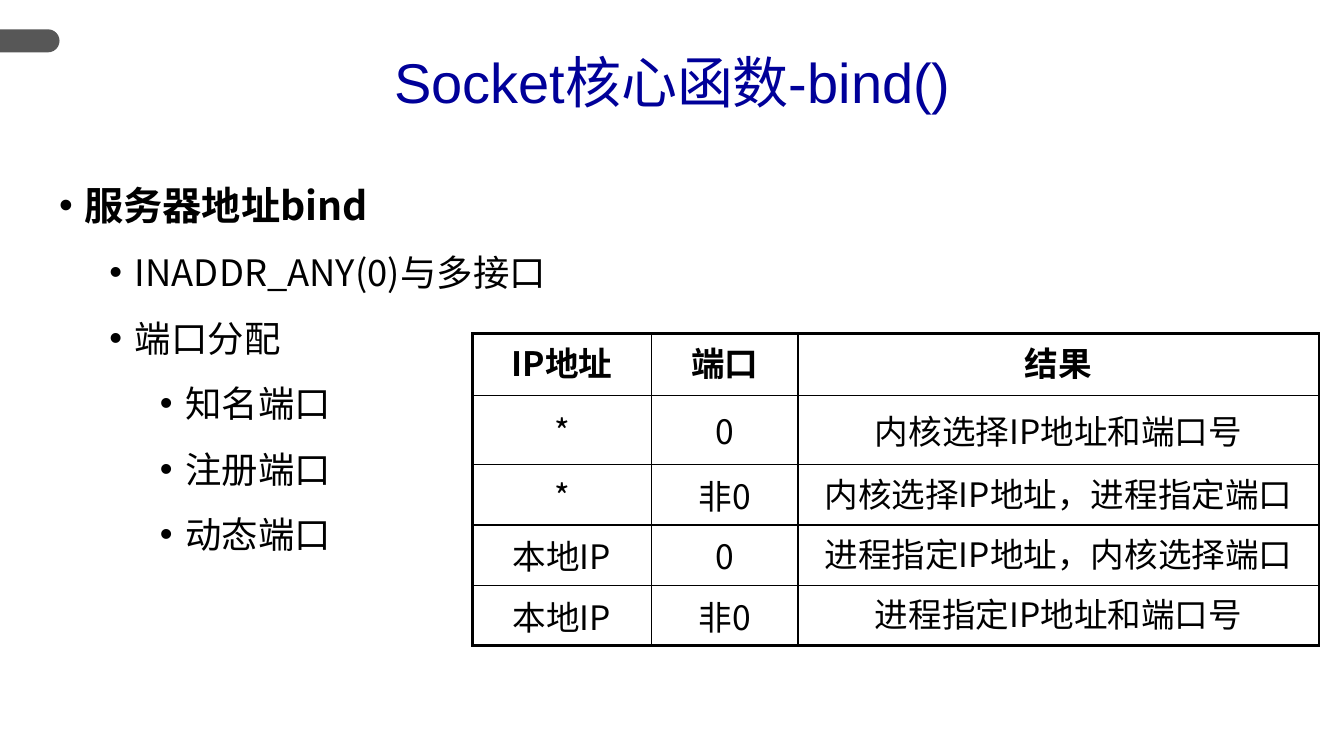
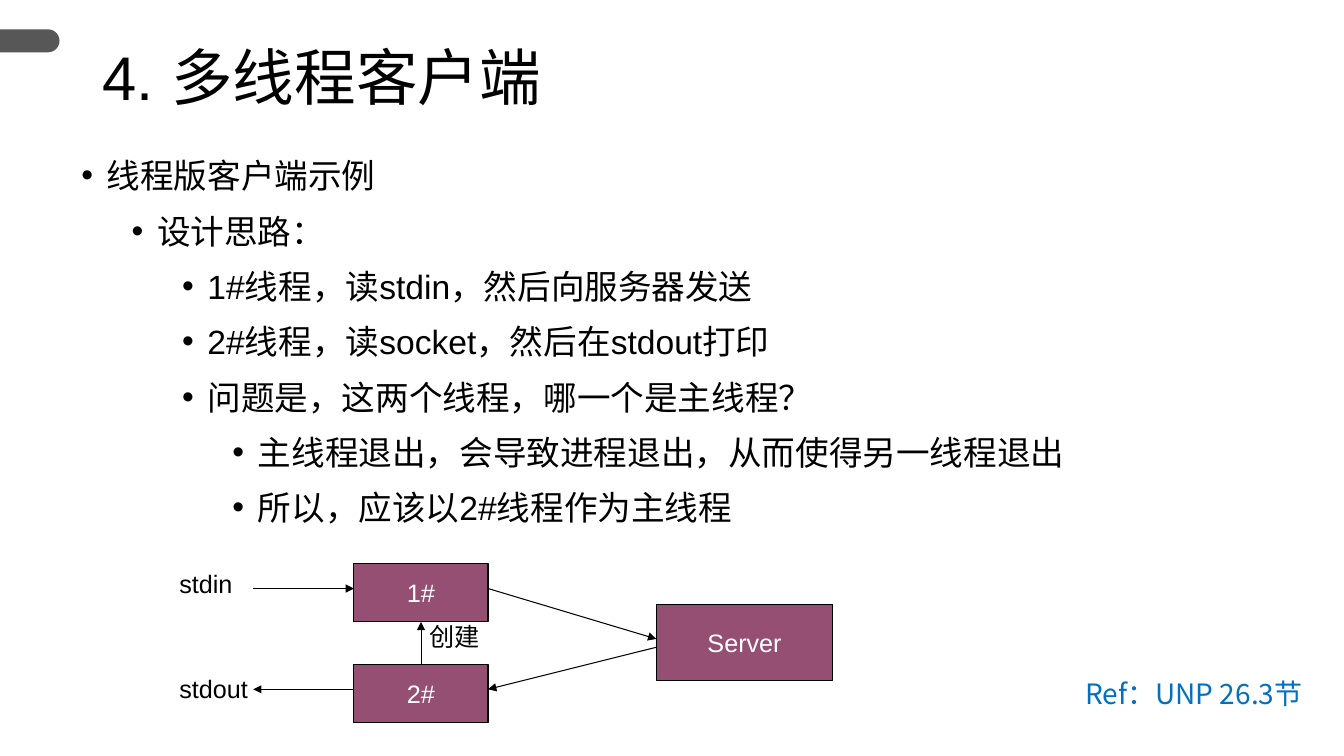
from lxml.etree import SubElement
from pptx import Presentation
from pptx.dml.color import RGBColor
from pptx.enum.shapes import MSO_CONNECTOR as Connector, MSO_SHAPE as Shape
from pptx.enum.text import MSO_ANCHOR as Anchor, PP_ALIGN as Align
from pptx.oxml.ns import qn
from pptx.util import Cm, Pt

COLORS = {
    "band": "575757",
    "title": "000099",
    "text": "000000",
    "box": "954F72",
    "box_text": "FFFFFF",
    "reference": "0070C0",
}
LATIN = "Arial"
CJK = "Noto Sans CJK SC"


def color(name):
    return RGBColor.from_string(COLORS[name])


def add_run(paragraph, text, size, font=LATIN, fill="text", bold=False):
    run = paragraph.add_run()
    run.text = text
    run.font.size = Pt(size)
    run.font.bold = bold
    run.font.color.rgb = color(fill)
    run.font.name = font
    properties = run._r.get_or_add_rPr()
    SubElement(properties, qn("a:ea")).set("typeface", CJK)


presentation = Presentation()
presentation.slide_width = Cm(33.87)
presentation.slide_height = Cm(19.05)

pages = [
    {
        "title": "Socket核心函数-bind()",
        "title_box": (3.61, 1.12, 26.67, 2.06),
        "title_style": (40, "title", Align.CENTER),
        "body_box": (1.24, 3.86, 26.67, 12.65),
        "font": CJK,
        "line_spacing": 1.5,
        "space_before": 0,
        "body": [
            (0, 28, True, "服务器地址bind"),
            (1, 26, False, "INADDR_ANY(0)与多接口"),
            (1, 26, False, "端口分配"),
            (2, 26, False, "知名端口"),
            (2, 26, False, "注册端口"),
            (2, 26, False, "动态端口"),
        ],
    },
    {
        "title": "4. 多线程客户端",
        "title_box": (2.34, 0.18, 29.21, 3.68),
        "title_style": (44, "text", Align.LEFT),
        "body_box": (1.8, 3.58, 30.28, 7.82),
        "font": LATIN,
        "line_spacing": 1.2,
        "space_before": 5,
        "body": [
            (0, 24, False, "线程版客户端示例"),
            (1, 24, False, "设计思路："),
            (2, 24, False, "1#线程，读stdin，然后向服务器发送"),
            (2, 24, False, "2#线程，读socket，然后在stdout打印"),
            (2, 24, False, "问题是，这两个线程，哪一个是主线程？"),
            (3, 24, False, "主线程退出，会导致进程退出，从而使得另一线程退出"),
            (3, 24, False, "所以，应该以2#线程作为主线程"),
        ],
    },
]

slides = []
for page in pages:
    slide = presentation.slides.add_slide(presentation.slide_layouts[6])
    slides.append(slide)

    band = slide.shapes.add_shape(Shape.ROUND_2_SAME_RECTANGLE, Cm(0.46), Cm(0.28), Cm(0.58), Cm(1.5))
    band.adjustments[0] = 0.5
    band.rotation = 90
    band.shadow.inherit = False
    band.fill.solid()
    band.fill.fore_color.rgb = color("band")
    band.line.fill.background()

    title_frame = slide.shapes.add_textbox(*map(Cm, page["title_box"])).text_frame
    title_frame.word_wrap = True
    title_frame.vertical_anchor = Anchor.MIDDLE
    size, fill, align = page["title_style"]
    paragraph = title_frame.paragraphs[0]
    paragraph.alignment = align
    paragraph.line_spacing = 0.9
    add_run(paragraph, page["title"], size, fill=fill)

    body_frame = slide.shapes.add_textbox(*map(Cm, page["body_box"])).text_frame
    body_frame.word_wrap = True
    for index, (level, size, bold, text) in enumerate(page["body"]):
        paragraph = body_frame.add_paragraph() if index else body_frame.paragraphs[0]
        properties = paragraph._p.get_or_add_pPr()
        properties.set("marL", str(Cm(0.64 + 1.27 * level)))
        properties.set("indent", str(Cm(-0.64)))
        SubElement(properties, qn("a:buFont")).set("typeface", LATIN)
        SubElement(properties, qn("a:buChar")).set("char", "•")
        paragraph.level = level
        paragraph.line_spacing = page["line_spacing"]
        paragraph.space_before = Pt(page["space_before"] if index else 0)
        add_run(paragraph, text, size, page["font"], bold=bold)

bind_slide, thread_slide = slides

bind_rows = [
    ("IP地址", "端口", "结果"),
    ("*", "0", "内核选择IP地址和端口号"),
    ("*", "非0", "内核选择IP地址，进程指定端口"),
    ("本地IP", "0", "进程指定IP地址，内核选择端口"),
    ("本地IP", "非0", "进程指定IP地址和端口号"),
]
column_widths = [4.5, 3.7, 13.13]
row_heights = [1.55, 1.75, 1.52, 1.52, 1.52]
table = bind_slide.shapes.add_table(
    len(row_heights), len(column_widths), Cm(11.91), Cm(8.41), Cm(sum(column_widths)), Cm(sum(row_heights))
).table
table.first_row = False
table.horz_banding = False
for column, width in zip(table.columns, column_widths):
    column.width = Cm(width)
for row_index, (row, height, texts) in enumerate(zip(table.rows, row_heights, bind_rows)):
    row.height = Cm(height)
    for column_index, (cell, text) in enumerate(zip(row.cells, texts)):
        cell.vertical_anchor = Anchor.MIDDLE
        paragraph = cell.text_frame.paragraphs[0]
        paragraph.alignment = Align.CENTER
        if row_index == 0 or (column_index == 2 and row_index > 1):
            paragraph.line_spacing = 0.85
        add_run(paragraph, text, 24, CJK, bold=row_index == 0)
        outer_edges = {
            "a:lnL": column_index == 0,
            "a:lnR": column_index == len(column_widths) - 1,
            "a:lnT": row_index == 0,
            "a:lnB": row_index == len(row_heights) - 1,
        }
        properties = cell._tc.get_or_add_tcPr()
        for tag, is_outer in outer_edges.items():
            border = SubElement(properties, qn(tag), w=str(Pt(2.25 if is_outer else 1)))
            border_fill = SubElement(border, qn("a:solidFill"))
            SubElement(border_fill, qn("a:srgbClr")).set("val", COLORS["text"])
        cell.fill.background()

for text, left, top, width, height in [
    ("1#", 8.92, 14.2, 3.38, 1.47),
    ("2#", 8.92, 16.74, 3.38, 1.47),
    ("Server", 16.54, 15.24, 4.45, 1.9),
]:
    box = thread_slide.shapes.add_shape(Shape.RECTANGLE, Cm(left), Cm(top), Cm(width), Cm(height))
    box.shadow.inherit = False
    box.fill.solid()
    box.fill.fore_color.rgb = color("box")
    box.line.color.rgb = color("text")
    box.line.width = Pt(0.75)
    box.text_frame.word_wrap = False
    box.text_frame.vertical_anchor = Anchor.MIDDLE
    paragraph = box.text_frame.paragraphs[0]
    paragraph.alignment = Align.CENTER
    add_run(paragraph, text, 18, fill="box_text")

for ends in [
    (6.38, 14.83, 8.92, 14.83),
    (12.3, 14.83, 16.54, 16.1),
    (16.54, 16.31, 12.3, 17.37),
    (8.92, 17.37, 6.38, 17.37),
    (10.61, 16.74, 10.61, 15.67),
]:
    arrow = thread_slide.shapes.add_connector(Connector.STRAIGHT, *map(Cm, ends))
    arrow.line.color.rgb = color("text")
    arrow.line.width = Pt(0.75)
    SubElement(arrow.line._get_or_add_ln(), qn("a:tailEnd")).set("type", "triangle")
    SubElement(arrow._element.spPr, qn("a:effectLst"))

for text, left, top, width, height, size, font, fill in [
    ("stdin", 4.27, 14.2, 1.85, 1.02, 18, LATIN, "text"),
    ("stdout", 4.27, 16.84, 2.24, 1.02, 18, LATIN, "text"),
    ("创建", 10.57, 15.52, 1.78, 1.02, 18, LATIN, "text"),
    ("Ref：UNP 26.3节", 27.1, 16.92, 6.7, 1.12, 20, CJK, "reference"),
]:
    label_frame = thread_slide.shapes.add_textbox(Cm(left), Cm(top), Cm(width), Cm(height)).text_frame
    label_frame.word_wrap = False
    add_run(label_frame.paragraphs[0], text, size, font, fill)

presentation.save("out.pptx")
